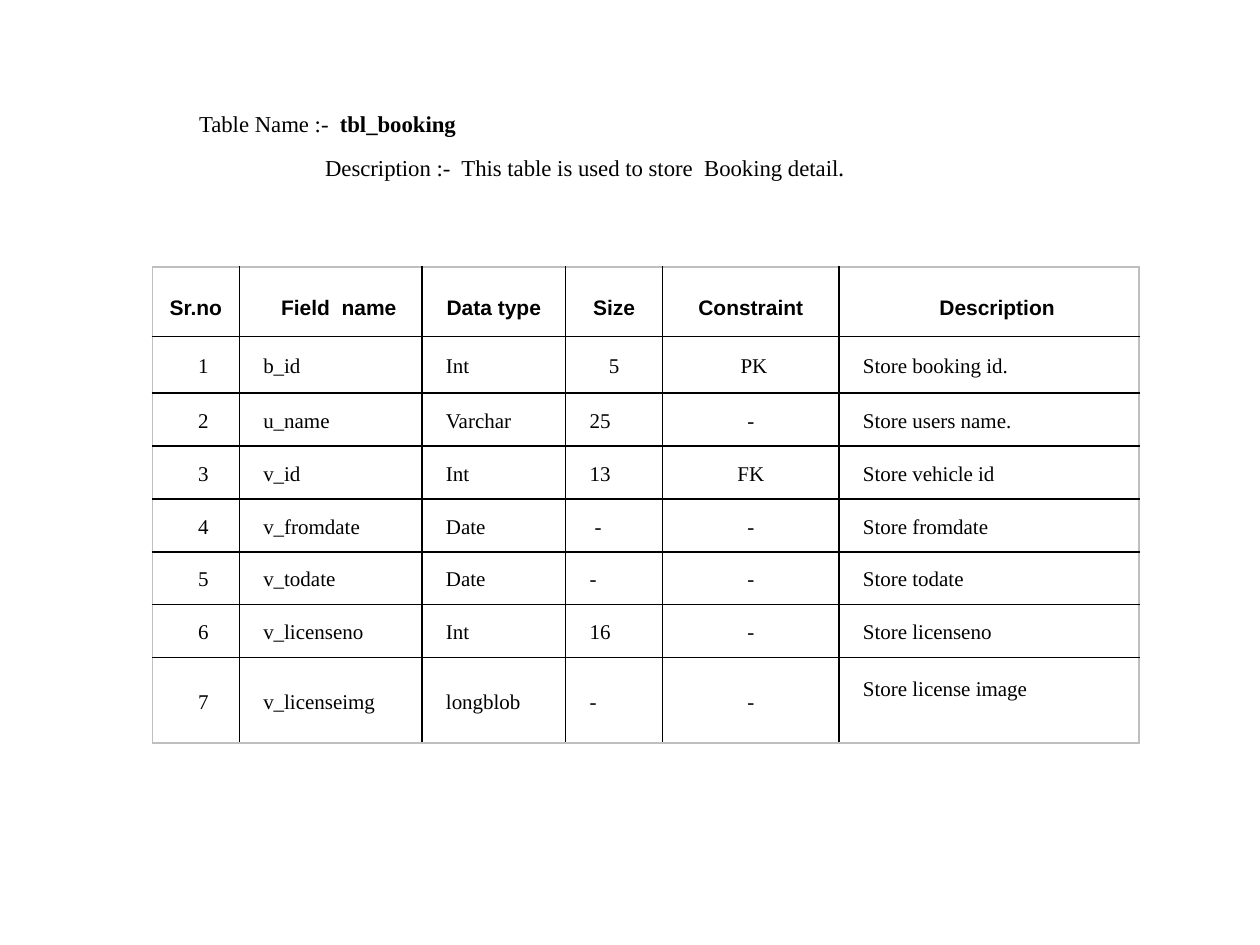
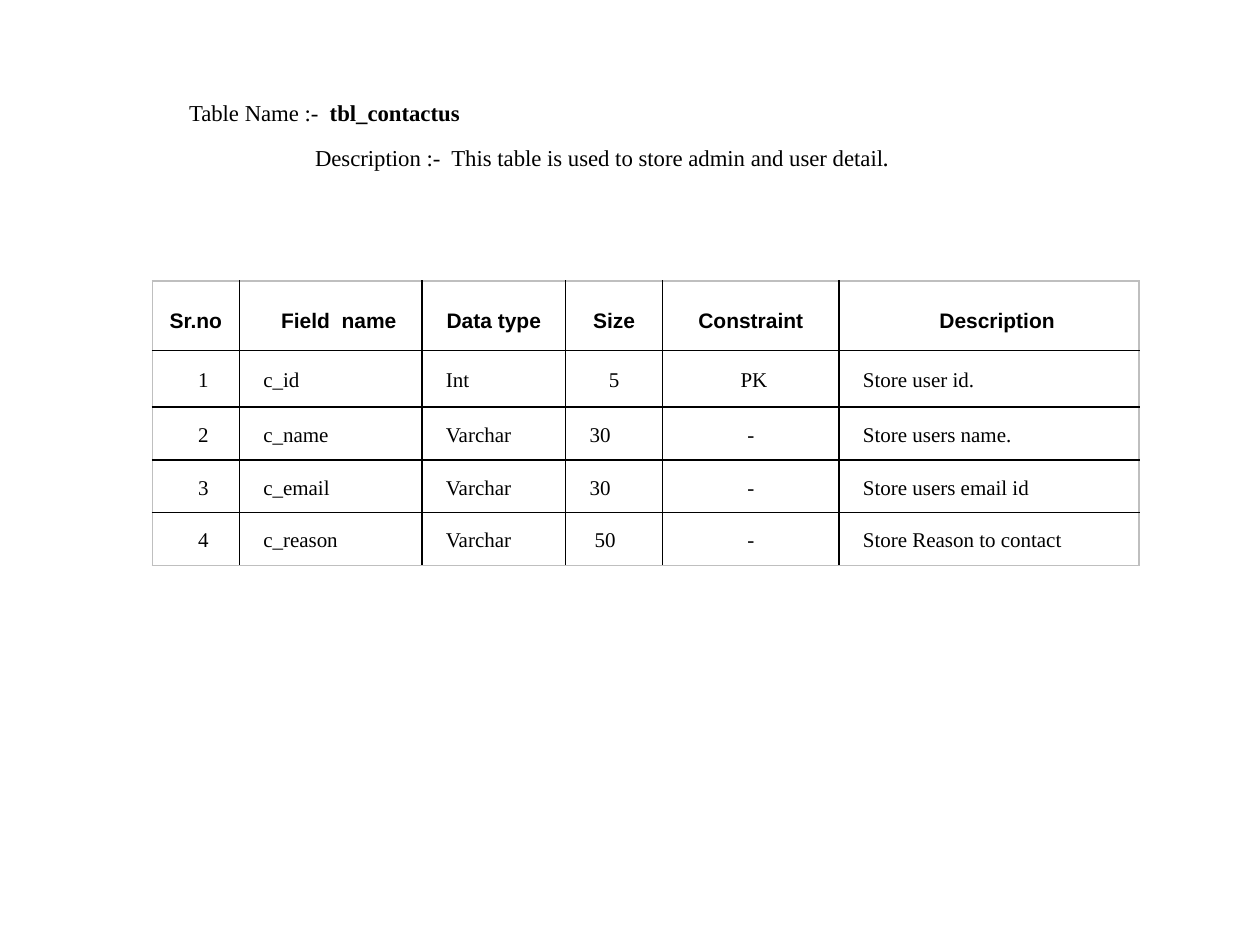
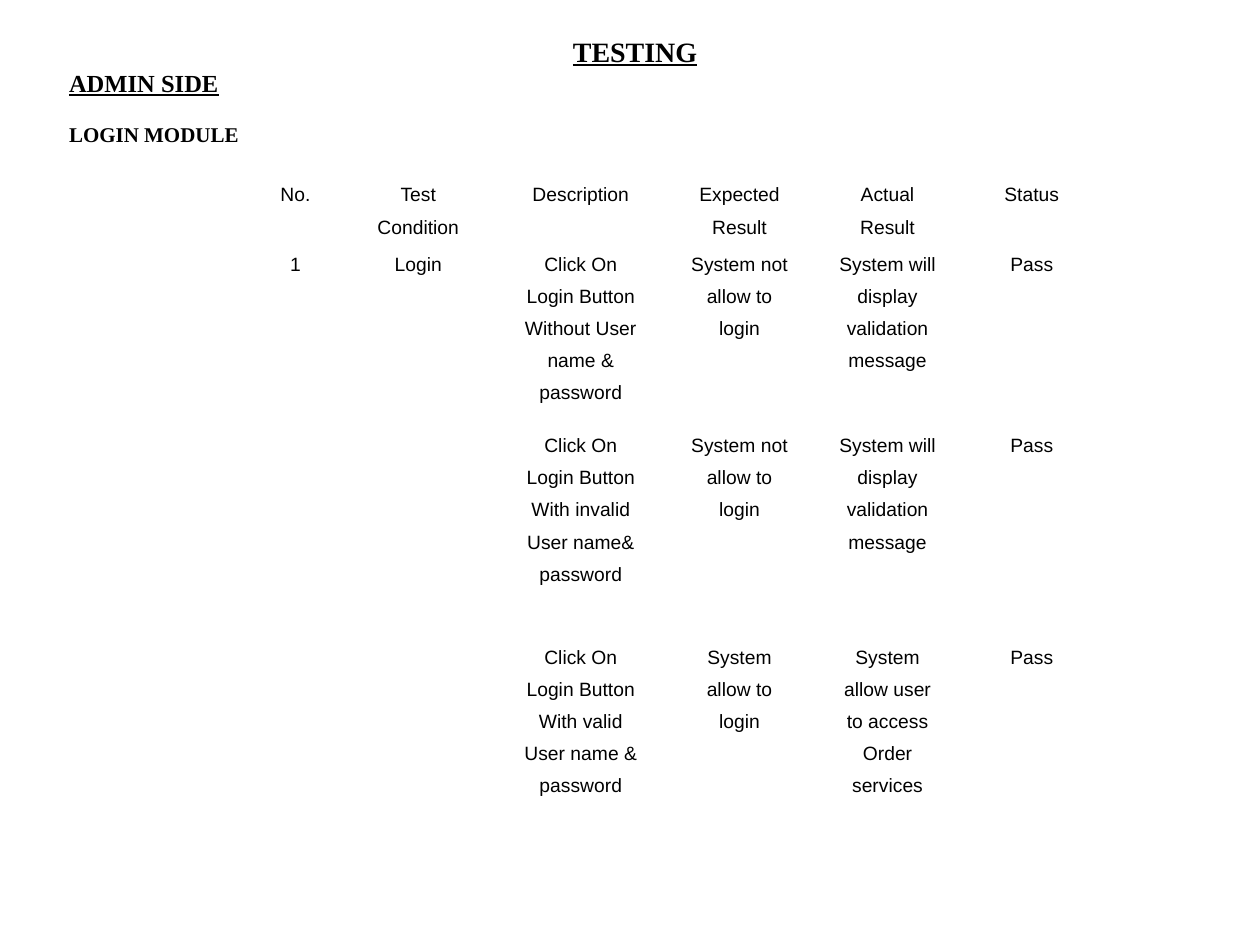
from lxml.etree import SubElement
from pptx import Presentation
from pptx.dml.color import RGBColor
from pptx.enum.text import MSO_ANCHOR, MSO_AUTO_SIZE, PP_ALIGN
from pptx.oxml.ns import qn
from pptx.util import Inches, Pt

HUES = {"ink": "000000", "edge": "BFBFBF"}
SERIF, SANS = "Times New Roman", "Arial"
LEFT, MID = PP_ALIGN.LEFT, PP_ALIGN.CENTER

HEADS = ["Sr.no", "Field  name", "Data type", "Size", "Constraint", "Description"]
HEAD_PADS = [0, 1.3, 0, 0, 0, 1.3]
BODY = [(MID, 1.2), (LEFT, 1.2), (LEFT, 1.2), (LEFT, 1.2), (MID, 0), (LEFT, 1.2)]
ODD = {(1, 3): (MID, 0), (1, 4): (MID, 0.5), (4, 3): (LEFT, 1.6)}
FIELD_COLS = [6.9, 14.5, 11.4, 7.7, 14, 23.8]

BOOKING = [
    ["1", "b_id", "Int", "5", "PK", "Store booking id."],
    ["2", "u_name", "Varchar", "25", "-", "Store users name."],
    ["3", "v_id", "Int", "13", "FK", "Store vehicle id"],
    ["4", "v_fromdate", "Date", "-", "-", "Store fromdate"],
    ["5", "v_todate", "Date", "-", "-", "Store todate"],
    ["6", "v_licenseno", "Int", "16", "-", "Store licenseno"],
    ["7", "v_licenseimg", "longblob", "-", "-", "Store license image"],
]
CONTACT = [
    ["1", "c_id", "Int", "5", "PK", "Store user id."],
    ["2", "c_name", "Varchar", "30", "-", "Store users name."],
    ["3", "c_email", "Varchar", "30", "-", "Store users email id"],
    ["4", "c_reason", "Varchar", "50", "-", "Store Reason to contact"],
]
TESTS = [
    ["No.", "Test Condition", "Description", "Expected Result", "Actual Result", "Status"],
    ["1", "Login", "Click On Login Button Without User name & password",
     "System not allow to login", "System will display validation message", "Pass"],
    ["", "", "Click On Login Button\nWith invalid User name& password",
     "System not allow to login", "System will display validation message", "Pass"],
    ["", "", "Click On Login Button\nWith valid User name & password",
     "System allow to login", "System allow user to access Order services", "Pass"],
]


class Deck:
    """Holds the style, the grid of 100 columns by 75 rows and the current slide."""

    def __init__(self):
        self.show = Presentation()
        self.show.slide_width, self.show.slide_height = Inches(10), Inches(7.5)
        self.slide = None

    def cols(self, count):
        return round(self.show.slide_width * count / 100)

    def rows(self, count):
        return round(self.show.slide_height * count / 75)

    def area(self, x, y, w, h):
        return self.cols(x), self.rows(y), self.cols(w), self.rows(h)

    def style(self, para, size, face=SERIF, bold=False, line=False, align=LEFT, pad=0, gap=1.0):
        props = para._p.get_or_add_pPr()
        props.set("marL", str(self.cols(pad)))
        props.set("indent", "0")
        para.alignment, para.line_spacing = align, gap
        font = para.font
        font.name, font.size, font.bold, font.underline = face, Pt(size), bold, line
        font.color.rgb = RGBColor.from_string(HUES["ink"])

    def title(self, x, y, w, h):
        self.slide = self.show.slides.add_slide(self.show.slide_layouts[5])
        shape = self.slide.shapes.title
        shape.left, shape.top, shape.width, shape.height = self.area(x, y, w, h)
        frame = shape.text_frame
        frame.word_wrap, frame.auto_size = True, MSO_AUTO_SIZE.NONE
        frame.vertical_anchor = MSO_ANCHOR.TOP
        return frame

    def label(self, x, y, name, about):
        frame = self.title(x, y, 83.8, 8.1)
        first, last = frame.paragraphs[0], frame.add_paragraph()
        first.add_run().text = "Table Name :-  "
        bold = first.add_run()
        bold.text, bold.font.bold = name, True
        last.add_run().text = "Description :-  " + about
        stop = last.add_run()
        stop.text, stop.font.size = ".", Pt(14)
        for para, pad in ((first, 10), (last, 20)):
            self.style(para, 13, pad=pad, gap=Pt(25.5))

    def text(self, x, y, w, h, lines):
        frame = self.slide.shapes.add_textbox(*self.area(x, y, w, h)).text_frame
        frame.word_wrap = True
        for num, (words, size, line, space) in enumerate(lines):
            para = frame.add_paragraph() if num else frame.paragraphs[0]
            para.text = words
            self.style(para, size, bold=True, line=line)
            if space:
                para.space_before = Pt(space)

    def border(self, cell, sides):
        for side, hue in sides.items():
            line = SubElement(cell._tc.get_or_add_tcPr(), qn("a:ln" + side), w=str(Pt(1)))
            fill = SubElement(line, qn("a:solidFill"))
            SubElement(fill, qn("a:srgbClr"), val=HUES[hue])

    def table(self, x, y, wide, high, data, anchor):
        shape = self.slide.shapes.add_table(
            len(high), len(wide), *self.area(x, y, sum(wide), sum(high)))
        table = shape.table
        table.first_row = table.horz_banding = False
        for col, size in zip(table.columns, wide):
            col.width = self.cols(size)
        for row, size in zip(table.rows, high):
            row.height = self.rows(size)
        for r, line in enumerate(data):
            for c, words in enumerate(line):
                cell = table.cell(r, c)
                cell.text = words
                cell.vertical_anchor = anchor
                cell.margin_left = cell.margin_right = self.cols(0.7)
                cell.margin_top = cell.margin_bottom = 0
                cell.fill.background()
        return table

    def fields(self, y, data, high):
        grid = [HEADS] + data
        table = self.table(12.1, y, FIELD_COLS, high, grid, MSO_ANCHOR.MIDDLE)
        for r in range(len(grid)):
            for c in range(len(HEADS)):
                cell = table.cell(r, c)
                self.border(cell, {
                    "L": "ink" if c else "edge",
                    "R": "ink" if c < len(HEADS) - 1 else "edge",
                    "T": "ink" if r else "edge",
                    "B": "ink" if r < len(grid) - 1 else "edge"})
                para = cell.text_frame.paragraphs[0]
                if r:
                    align, pad = ODD.get((r, c), BODY[c])
                    self.style(para, 12, align=align, pad=pad, gap=1.15)
                else:
                    self.style(para, 12, SANS, True, align=MID, pad=HEAD_PADS[c], gap=1.5)
        return table

    def tests(self):
        table = self.table(18.6, 13.8, [7.2, 12.3, 13.5, 11.7, 11.8, 11.1],
                           [5.5, 14.4, 16.8, 14.4], TESTS, MSO_ANCHOR.TOP)
        for cell in table.iter_cells():
            for para in cell.text_frame.paragraphs:
                self.style(para, 11, SANS, align=MID, pad=2.5, gap=1.5)


def main():
    deck = Deck()
    deck.label(4.8, 6.8, "tbl_booking", "This table is used to store  Booking detail")
    table = deck.fields(21.2, BOOKING, [5.5, 4.5] + [4.2] * 5 + [6.8])
    table.cell(7, 5).margin_bottom = deck.rows(2)

    deck.label(4, 6, "tbl_contactus", "This table is used to store admin and user detail")
    deck.fields(22.3, CONTACT, [5.5, 4.5] + [4.2] * 3)

    head = deck.title(4.5, 2.2, 91.8, 3.6).paragraphs[0]
    head.text = "TESTING"
    deck.style(head, 16, bold=True, line=True, align=MID)
    deck.tests()
    deck.text(4.5, 4.9, 52.4, 8, [("ADMIN SIDE", 14, True, 0), ("LOGIN MODULE", 12, False, 14)])
    deck.show.save("out.pptx")


if __name__ == "__main__":
    main()
